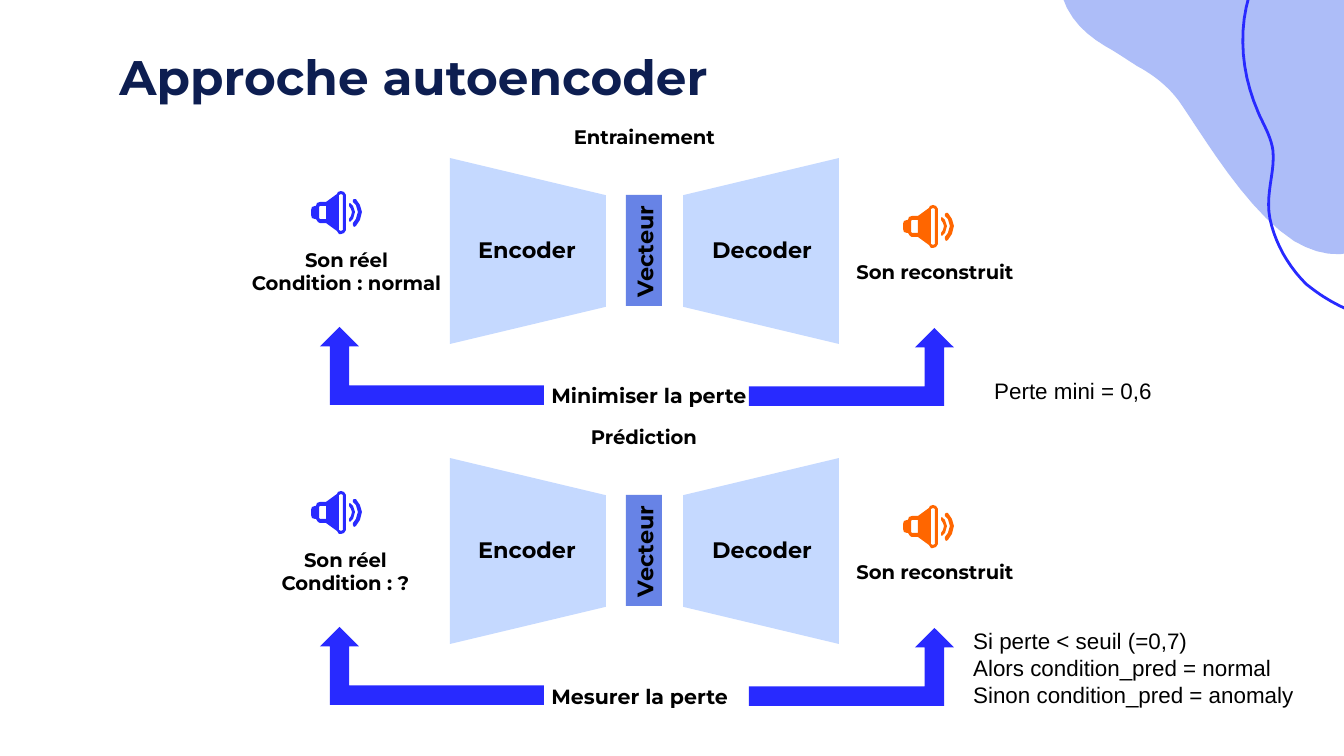
"""Build the slide on the autoencoder approach, one block per phase."""
import dataclasses

import pptx
import pptx.dml.color
import pptx.enum.shapes
import pptx.enum.text
import pptx.util

KIND = pptx.enum.shapes.MSO_SHAPE
ALIGN = pptx.enum.text.PP_ALIGN
FIT = pptx.enum.text.MSO_AUTO_SIZE
SCALE = 914400 / 134.4


@dataclasses.dataclass(frozen=True)
class Theme:
    navy: str = "0D1E51"
    blue: str = "282AFF"
    orange: str = "FF6600"
    pale: str = "C5D9FF"
    mid: str = "6783E6"
    cloud: str = "ADBDF8"
    ink: str = "000000"
    head: str = "Montserrat"
    body: str = "Arial"
    title: float = 26
    text: float = 12
    loss: float = 11
    label: float = 10.5
    line: float = 1.5


THEME = Theme()
TITLE = "Approche autoencoder"
STEP = 300
PHASES = [
    {"name": ("Entrainement", (559, 118, 171, 38)),
     "input": (["Son réel", "Condition : normal"], (237, 241, 219, 60)),
     "loss": ("Minimiser la perte", (538, 376, 224, 39)),
     "note": (["Perte mini = 0,6"], (981, 371, 328, 40))},
    {"name": ("Prédiction", (577, 118, 134, 38)),
     "input": (["Son réel", "Condition : ?"], (267, 241, 157, 60)),
     "loss": ("Mesurer la perte", (538, 377, 206, 39)),
     "note": (["Si perte < seuil (=0,7)", "Alors condition_pred = normal",
               "Sinon condition_pred = anomaly"], (960, 321, 363, 95))},
]
OUTPUT = ("Son reconstruit", (841, 253, 188, 38))
PARTS = [
    ("Encoder", KIND.FLOWCHART_MANUAL_OPERATION, (435, 173, 186, 156), 270,
     THEME.pale, (465, 230, 125, 40), 0),
    ("Decoder", KIND.FLOWCHART_MANUAL_OPERATION, (668, 173, 186, 156), 90,
     THEME.pale, (699, 230, 128, 40), 0),
    ("Vecteur", KIND.RECTANGLE, (626, 195, 36, 111), 0,
     THEME.mid, (584, 230, 121, 40), 270),
]
ARROWS = [((749, 328, 205, 78), False), ((320, 327, 224, 78), True)]
ICONS = [((311, 191), THEME.blue), ((903, 205), THEME.orange)]
HORN = [
    [(30, 0), (27, 1), (26, 3), (15, 11), (9, 11), (6, 12), (5, 15), (4, 15),
     (1, 16), (0, 19), (0, 24), (1, 27), (4, 28), (5, 28), (7, 31), (9, 32),
     (15, 32), (26, 40), (28, 43), (30, 43), (33, 42), (35, 39), (35, 4), (33, 1)],
    [(15, 15), (15, 28), (9, 28), (8, 27), (8, 16), (9, 15)],
    [(30, 3), (32, 4), (32, 39), (30, 40), (28, 39), (28, 4)],
]
WAVES = [
    [(39, 12), (38, 13), (38, 15), (40, 18), (41, 21), (40, 25), (38, 28),
     (38, 30), (39, 31), (42, 28), (44, 21), (42, 15)],
    [(43, 8), (42, 9), (42, 11), (45, 14), (47, 21), (45, 28), (42, 32),
     (42, 34), (43, 36), (45, 35), (49, 29), (51, 21), (49, 14), (45, 8)],
]
CLOUD = [
    (1294, 241), (1331, 263), (1372, 262), (1415, 204), (1515, 70), (1409, -79),
    (1353, -124), (1345, -129), (1339, -134), (1331, -138), (1220, -207),
    (1075, -179), (1059, -66), (1050, 1), (1074, 27), (1105, 46), (1116, 52),
    (1126, 59), (1137, 66), (1152, 74), (1167, 85), (1179, 101), (1204, 137),
    (1246, 210), (1294, 241)]
LOOP = [
    (1344, 308), (1399, 332), (1472, 321), (1492, 255), (1492, 255), (1493, 255),
    (1493, 254), (1499, 238), (1517, 230), (1534, 237), (1594, 261), (1664, 237),
    (1700, 184), (1724, 149), (1730, 103), (1714, 66), (1703, 36), (1680, 15),
    (1656, -5), (1622, -32), (1585, -54), (1546, -71), (1528, -78), (1511, -85),
    (1492, -91), (1437, -109), (1375, -117), (1322, -91), (1294, -78), (1273, -54),
    (1258, -27), (1255, -19), (1251, -12), (1249, -4), (1238, 34), (1242, 75),
    (1258, 112), (1263, 124), (1271, 136), (1273, 151), (1275, 173), (1265, 195),
    (1270, 219), (1275, 243), (1288, 266), (1306, 284), (1317, 293), (1329, 301),
    (1344, 308)]


def px(num):
    return pptx.util.Emu(round(num * SCALE))


def rgb(code):
    return pptx.dml.color.RGBColor.from_string(code)


def shift(box, down):
    return (box[0], box[1] + down, *box[2:])


def paint(shape, fill=None, line=None):
    shape.shadow.inherit = False
    if fill:
        shape.fill.solid()
        shape.fill.fore_color.rgb = rgb(fill)
    else:
        shape.fill.background()
    if line:
        shape.line.color.rgb = rgb(line)
        shape.line.width = pptx.util.Pt(THEME.line)
    else:
        shape.line.fill.background()


def write(frame, lines, size, font, color=THEME.ink, bold=True, align=ALIGN.LEFT):
    for num, line in enumerate(lines):
        para = frame.add_paragraph() if num else frame.paragraphs[0]
        para.alignment = align
        run = para.add_run()
        run.text = line
        run.font.size = pptx.util.Pt(size)
        run.font.name = font
        run.font.bold = bold
        run.font.color.rgb = rgb(color)


def label(slide, lines, box, size, font=THEME.head, bold=True,
          align=ALIGN.LEFT, wrap=False, turn=0):
    shape = slide.shapes.add_textbox(*map(px, box))
    shape.rotation = turn
    shape.text_frame.word_wrap = wrap
    shape.text_frame.auto_size = FIT.SHAPE_TO_FIT_TEXT
    write(shape.text_frame, lines, size, font, bold=bold, align=align)


def solid(slide, kind, box, fill, turn=0, flip=False):
    shape = slide.shapes.add_shape(kind, *map(px, box))
    shape.rotation = turn
    if flip:
        shape.element.spPr.get_or_add_xfrm().set("flipH", "1")
    paint(shape, fill)


def outline(slide, loops, spot=(0, 0), fill=None, line=None):
    loops = [[(px(x), px(y)) for x, y in loop] for loop in loops]
    pen = slide.shapes.build_freeform(*loops[0][0])
    for num, loop in enumerate(loops):
        if num:
            pen.move_to(*loop[0])
        pen.add_line_segments(loop[1:], close=True)
    paint(pen.convert_to_shape(*map(px, spot)), fill, line)


def curve(knots, steps=10):
    dots = [knots[0]]
    for at in range(0, len(knots) - 1, 3):
        for num in range(1, steps + 1):
            t = num / steps
            mix = ((1 - t) ** 3, 3 * t * (1 - t) ** 2, 3 * t * t * (1 - t), t ** 3)
            dots.append(tuple(sum(m * knot[axis] for m, knot in zip(mix, knots[at:at + 4]))
                              for axis in (0, 1)))
    return dots


def header(slide):
    title = slide.shapes.title
    title.left, title.top, title.width, title.height = map(px, (106, 34, 958, 84))
    frame = title.text_frame
    frame.margin_left = frame.margin_right = pptx.util.Inches(0.1)
    frame.margin_top = frame.margin_bottom = pptx.util.Inches(0.1)
    frame.vertical_anchor = pptx.enum.text.MSO_ANCHOR.TOP
    frame.auto_size = FIT.NONE
    write(frame, [TITLE], THEME.title, THEME.head, THEME.navy)


def block(slide, phase, down):
    for spot, color in ICONS:
        for loops in (HORN, *([wave] for wave in WAVES)):
            outline(slide, loops, shift(spot, down), color)
    for lines, box in (([phase["name"][0]], phase["name"][1]),
                       phase["input"], ([OUTPUT[0]], OUTPUT[1])):
        label(slide, lines, shift(box, down), THEME.label, align=ALIGN.CENTER)
    for name, kind, box, turn, fill, area, tilt in PARTS:
        solid(slide, kind, shift(box, down), fill, turn)
        label(slide, [name], shift(area, down), THEME.text, turn=tilt)
    for box, flip in ARROWS:
        solid(slide, KIND.BENT_UP_ARROW, shift(box, down), THEME.blue, flip=flip)
    text, box = phase["loss"]
    label(slide, [text], shift(box, down), THEME.loss)
    lines, box = phase["note"]
    label(slide, lines, shift(box, down), THEME.text, THEME.body, False, wrap=True)


def main():
    deck = pptx.Presentation()
    deck.slide_width, deck.slide_height = px(1344), px(756)
    slide = deck.slides.add_slide(deck.slide_layouts[5])
    outline(slide, [curve(CLOUD)], fill=THEME.cloud)
    outline(slide, [curve(LOOP)], line=THEME.blue)
    header(slide)
    for num, phase in enumerate(PHASES):
        block(slide, phase, num * STEP)
    deck.save("out.pptx")


if __name__ == "__main__":
    main()
